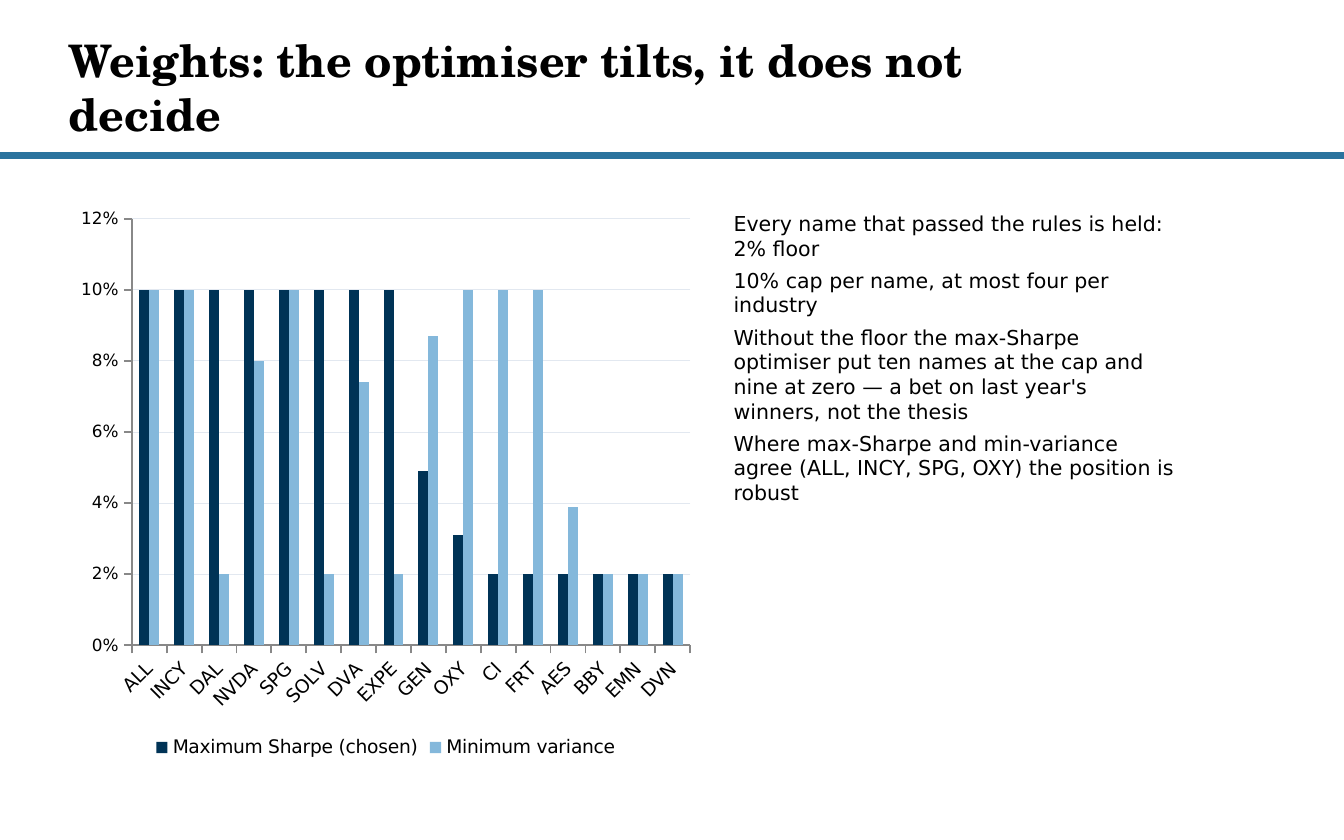
import pptx
import pptx.chart.data
import pptx.dml.color
import pptx.enum.chart
import pptx.enum.shapes
import pptx.enum.text
import pptx.util

TITLE = "Weights: the optimiser tilts, it does not decide"
POINTS = [
    "Every name that passed the rules is held: 2% floor",
    "10% cap per name, at most four per industry",
    "Without the floor the max-Sharpe optimiser put ten names at the cap and "
    "nine at zero — a bet on last year's winners, not the thesis",
    "Where max-Sharpe and min-variance agree (ALL, INCY, SPG, OXY) the position is robust",
]
WEIGHTS = [
    ("ALL", 10, 10), ("INCY", 10, 10), ("DAL", 10, 2), ("NVDA", 10, 8),
    ("SPG", 10, 10), ("SOLV", 10, 2), ("DVA", 10, 7.4), ("EXPE", 10, 2),
    ("GEN", 4.9, 8.7), ("OXY", 3.1, 10), ("CI", 2, 10), ("FRT", 2, 10),
    ("AES", 2, 3.9), ("BBY", 2, 2), ("EMN", 2, 2), ("DVN", 2, 2),
]
PORTFOLIOS = [("Maximum Sharpe (chosen)", "navy"), ("Minimum variance", "sky")]
COLOURS = {
    "text": "000000", "rule": "2A739E", "navy": "003356",
    "sky": "84B8DB", "axis": "888888", "grid": "E2E8F0",
}
HEADING_FONT, BODY_FONT = "TeX Gyre Schola", "DejaVu Sans"
WIDTH, HEIGHT = 10, 6.25
MARGIN, GUTTER = 0.51, 0.13
CHART_WIDTH, POINTS_WIDTH = 4.72, 3.5
BODY_TOP, BODY_HEIGHT = 1.47, 4.21
RULE_TOP, RULE_HEIGHT = 1.14, 0.04
TITLE_TOP, TITLE_WIDTH = 0.15, 7.48


def colour(key):
    return pptx.dml.color.RGBColor.from_string(COLOURS[key])


def box(*lengths):
    return [pptx.util.Inches(length) for length in lengths]


def style(font, size, name=BODY_FONT, bold=False):
    font.size = pptx.util.Pt(size)
    font.name = name
    font.bold = bold
    font.color.rgb = colour("text")


def draw_line(line, key, width):
    line.color.rgb = colour(key)
    line.width = pptx.util.Pt(width)


def add_rule(slide):
    rule = slide.shapes.add_shape(
        pptx.enum.shapes.MSO_SHAPE.RECTANGLE, *box(0, RULE_TOP, WIDTH, RULE_HEIGHT))
    rule.shadow.inherit = False
    rule.fill.solid()
    rule.fill.fore_color.rgb = colour("rule")
    draw_line(rule.line, "rule", 1)


def add_title(slide):
    title = slide.shapes.add_textbox(
        *box(MARGIN, TITLE_TOP, TITLE_WIDTH, RULE_TOP - TITLE_TOP)).text_frame
    title.word_wrap = True
    title.vertical_anchor = pptx.enum.text.MSO_ANCHOR.MIDDLE
    title.margin_left = title.margin_right = title.margin_top = title.margin_bottom = 0
    title.text = TITLE
    style(title.paragraphs[0].runs[0].font, 24, HEADING_FONT, True)


def add_weights(slide):
    data = pptx.chart.data.CategoryChartData()
    tickers, *columns = zip(*WEIGHTS)
    data.categories = tickers
    for (portfolio, _), column in zip(PORTFOLIOS, columns):
        data.add_series(portfolio, column)
    weights = slide.shapes.add_chart(
        pptx.enum.chart.XL_CHART_TYPE.COLUMN_CLUSTERED,
        *box(MARGIN, BODY_TOP, CHART_WIDTH, BODY_HEIGHT), data).chart
    style(weights.font, 10)
    weights.has_title = False
    weights.has_legend = True
    weights.legend.position = pptx.enum.chart.XL_LEGEND_POSITION.BOTTOM
    weights.legend.include_in_layout = False
    style(weights.legend.font, 10)

    bars = weights.plots[0]
    bars.gap_width = 150
    bars.overlap = 0
    bars.vary_by_categories = False
    for series, (_, key) in zip(bars.series, PORTFOLIOS):
        series.invert_if_negative = False
        series.format.fill.solid()
        series.format.fill.fore_color.rgb = colour(key)

    for axis, size in ((weights.category_axis, 10), (weights.value_axis, 9)):
        style(axis.tick_labels.font, size)
        draw_line(axis.format.line, "axis", 1)
        axis.major_tick_mark = pptx.enum.chart.XL_TICK_MARK.OUTSIDE
        axis.minor_tick_mark = pptx.enum.chart.XL_TICK_MARK.NONE
    weights.category_axis.tick_label_position = pptx.enum.chart.XL_TICK_LABEL_POSITION.LOW
    percent = weights.value_axis
    percent.minimum_scale, percent.maximum_scale, percent.major_unit = 0, 12, 2
    percent.tick_labels.number_format = '0"%"'
    percent.tick_labels.number_format_is_linked = False
    percent.has_major_gridlines = True
    draw_line(percent.major_gridlines.format.line, "grid", 0.5)


def add_points(slide):
    left = MARGIN + CHART_WIDTH + GUTTER
    points = slide.shapes.add_textbox(
        *box(left, BODY_TOP, POINTS_WIDTH, BODY_HEIGHT)).text_frame
    points.word_wrap = True
    points.margin_left, points.margin_right, points.margin_top, points.margin_bottom = box(
        0.1, 0.1, 0.1, 0.1)
    points.text = "\n".join(POINTS)
    for point in points.paragraphs:
        point.space_after = pptx.util.Pt(4)
        style(point.runs[0].font, 11)


def main():
    deck = pptx.Presentation()
    deck.slide_width, deck.slide_height = box(WIDTH, HEIGHT)
    slide = deck.slides.add_slide(deck.slide_layouts[6])
    add_rule(slide)
    add_title(slide)
    add_weights(slide)
    add_points(slide)
    deck.save("out.pptx")


if __name__ == "__main__":
    main()
